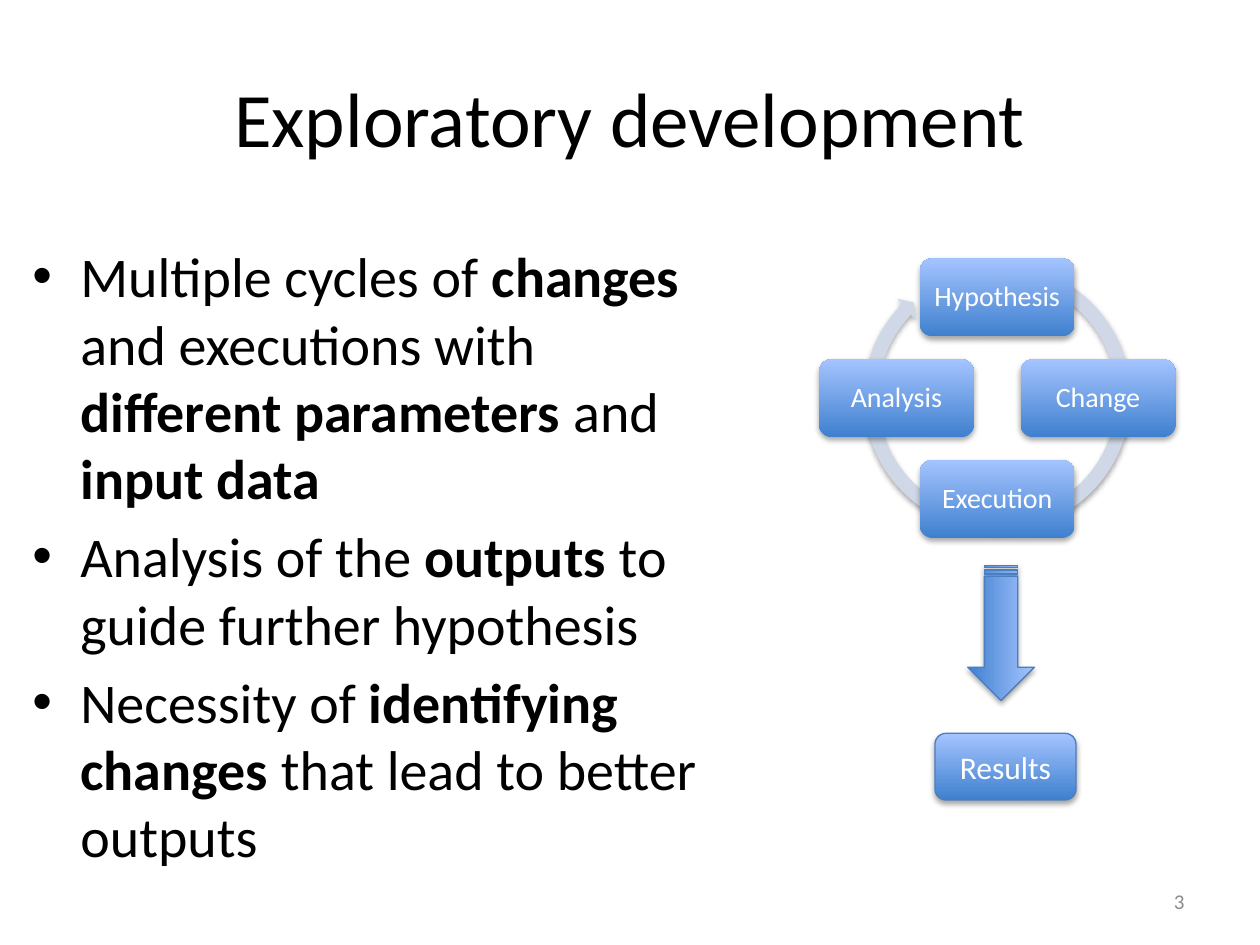
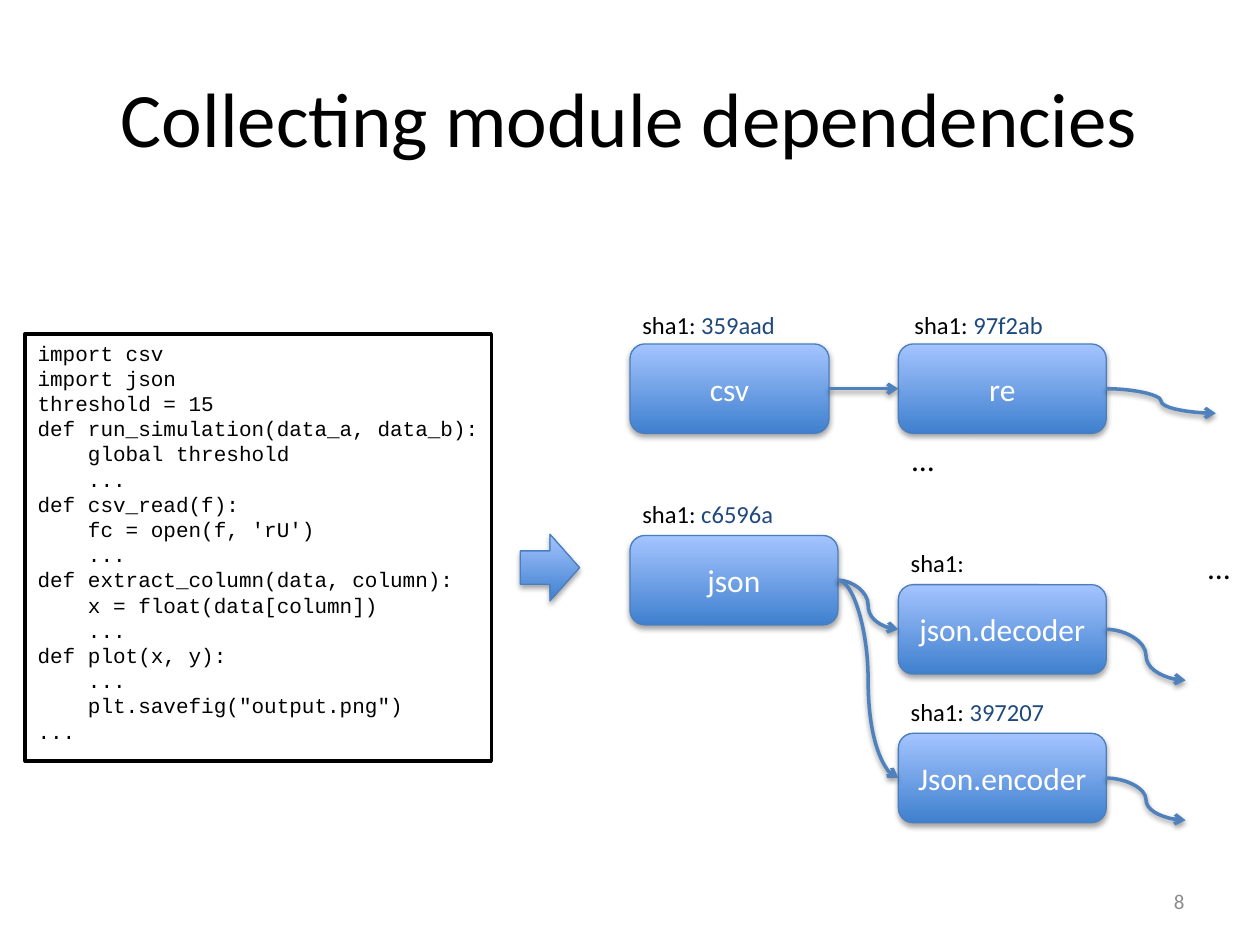
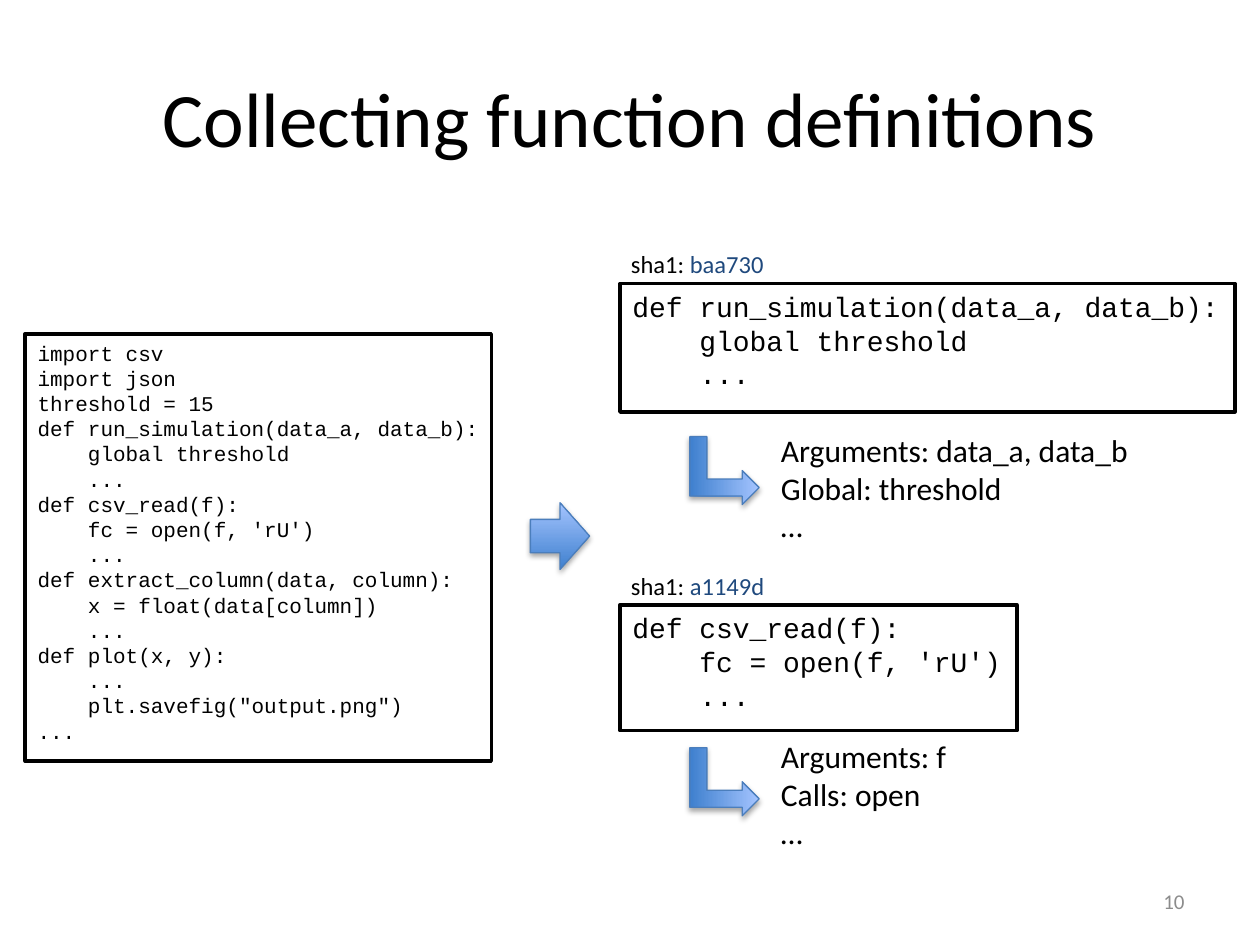
from dataclasses import dataclass, field

from lxml import etree
from pptx import Presentation
from pptx.dml.color import RGBColor
from pptx.enum.shapes import MSO_CONNECTOR as Wire, MSO_SHAPE as Kind
from pptx.enum.text import MSO_ANCHOR as Anchor, MSO_AUTO_SIZE as Fit, PP_ALIGN as Align
from pptx.oxml import parse_xml
from pptx.oxml.ns import qn
from pptx.util import Pt

PX = 9144  # 100 px to the inch


class Theme:
    black, white = RGBColor(0, 0, 0), RGBColor(255, 255, 255)
    navy = RGBColor(0x1F, 0x49, 0x7D)
    grey = RGBColor(0x8C, 0x8C, 0x8C)
    ring = RGBColor(0xD0, 0xD8, 0xE8)
    deep, light = RGBColor(0x3F, 0x80, 0xCE), RGBColor(0xA4, 0xC4, 0xFF)
    edge, wire = RGBColor(0x4B, 0x7E, 0xBC), RGBColor(0x4F, 0x81, 0xBD)
    sans, mono = "Calibri", "Courier New"
    huge, big, mid, code, tag, tiny = (Pt(n) for n in (44, 32, 18, 16, 14, 12))


@dataclass
class Look:
    """How a box and its text are set; accent formats the parts between asterisks."""
    size: int
    color: RGBColor = Theme.black
    font: str = Theme.sans
    fill: str = ""
    line: tuple = ()
    bullet: bool = False
    accent: RGBColor = None
    frame: dict = field(default_factory=dict)
    para: dict = field(default_factory=dict)


middle = {"word_wrap": True, "vertical_anchor": Anchor.MIDDLE}
loose = {"word_wrap": False, "auto_size": Fit.SHAPE_TO_FIT_TEXT}
top = {"word_wrap": True, "vertical_anchor": Anchor.TOP}
center, left = {"alignment": Align.CENTER}, {"alignment": Align.LEFT}
inset = {f"margin_{side}": 7 * PX for side in ("left", "top", "right", "bottom")}
rim, frame = (Theme.edge, Pt(0.75)), (Theme.black, Pt(2))

TITLE = Look(Theme.huge, frame=middle, para=center)
BODY = Look(Theme.big, bullet=True, frame=top, para={"space_before": Pt(6.4)})
PAGE = Look(Theme.tiny, Theme.grey, frame=middle, para={"alignment": Align.RIGHT})
NODE = Look(Theme.mid, Theme.white, fill="blend", line=rim, frame=middle, para=center)
STEP = Look(Theme.code, Theme.white, fill="blend", frame=middle | inset,
            para=center | {"line_spacing": 0.9})
RING = Look(Theme.mid, fill="ring")
LIST = Look(Theme.tiny, font=Theme.mono, fill="plain", line=frame, frame=top, para=left)
PART = Look(Theme.code, font=Theme.mono, fill="plain", line=frame, frame=top, para=left)
HASH = Look(Theme.tag, accent=Theme.navy, frame=loose)
NOTE = Look(Theme.mid, frame=loose)


def cast(shape, alpha, drop):
    """Give a shape or connector a soft shadow straight below it."""
    props = shape._element.spPr
    for old in props.findall(qn("a:effectLst")):
        props.remove(old)
    props.append(parse_xml(
        '<a:effectLst xmlns:a="http://schemas.openxmlformats.org/drawingml/2006/main">'
        f'<a:outerShdw blurRad="40000" dist="{drop}" dir="5400000" rotWithShape="0">'
        f'<a:srgbClr val="000000"><a:alpha val="{alpha}000"/></a:srgbClr>'
        '</a:outerShdw></a:effectLst>'))


def put(slide, at, look, text="", kind=None):
    """Add a text box, or a shape of the given kind, with one paragraph a line."""
    area = [n * PX for n in at]
    if kind is None:
        shape = slide.shapes.add_textbox(*area)
    else:
        shape = slide.shapes.add_shape(kind, *area)
        shape.shadow.inherit = False
        if look.fill == "blend":
            shape.fill.gradient()
            shape.fill.gradient_angle = 90
            for stop, color in zip(shape.fill.gradient_stops, (Theme.deep, Theme.light)):
                stop.color.rgb = color
        else:
            shape.fill.solid()
            shape.fill.fore_color.rgb = Theme.ring if look.fill == "ring" else Theme.white
        if look.line:
            shape.line.color.rgb, shape.line.width = look.line
        else:
            shape.line.fill.background()
        if look.fill != "plain":
            cast(shape, 35, 23000)
    body = shape.text_frame
    for name, value in look.frame.items():
        setattr(body, name, value)
    for i, row in enumerate(text.split("\n") if text else []):
        para = body.add_paragraph() if i else body.paragraphs[0]
        for name, value in look.para.items():
            setattr(para, name, value)
        if look.bullet:
            props = para._p.get_or_add_pPr()
            props.set("marL", str(38 * PX))
            props.set("indent", str(-38 * PX))
            etree.SubElement(props, qn("a:buFont")).set("typeface", "Arial")
            etree.SubElement(props, qn("a:buChar")).set("char", "•")
        for j, part in enumerate(row.split("*")):
            if not part:
                continue
            run = para.add_run()
            run.text = part
            strong = j % 2 == 1
            values = {"name": look.font, "size": look.size,
                      "bold": strong and look.accent is None}
            for name, value in values.items():
                setattr(run.font, name, value)
            run.font.color.rgb = look.accent if strong and look.accent else look.color
    return shape


SIM = """def run_simulation(data_a, data_b):
    global threshold
    ..."""
READ = """def csv_read(f):
    fc = open(f, 'rU')
    ..."""
SCRIPT = f"""import csv
import json
threshold = 15
{SIM}
{READ}
def extract_column(data, column):
    x = float(data[column])
    ...
def plot(x, y):
    ...
    plt.savefig("output.png")
..."""

deck = Presentation()
deck.slide_width, deck.slide_height = 1000 * PX, 750 * PX
slides = []
for title, page in (("Exploratory development", "3"),
                    ("Collecting module dependencies", "8"),
                    ("Collecting function definitions", "10")):
    slide = deck.slides.add_slide(deck.slide_layouts[6])
    put(slide, (50, 30, 900, 125), TITLE, title)
    put(slide, (717, 695, 233, 40), PAGE, page)
    slides.append(slide)
cycle, deps, defs = slides

# Exploratory development
put(cycle, (16, 187, 587, 516), BODY,
    "Multiple cycles of *changes *and executions with *different parameters *and *input data*\n"
    "Analysis of the *outputs* to guide further hypothesis\n"
    "Necessity of *identifying changes* that lead to better outputs")
ring = put(cycle, (680, 204, 223, 223), RING, kind=Kind.CIRCULAR_ARROW)
for i, value in enumerate((0.05, 2.73, 134.49, 176.25, 0.05)):
    ring.adjustments[i] = value
for name, dx, dy in (("Hypothesis", 0, -1), ("Change", 1, 0),
                     ("Execution", 0, 1), ("Analysis", -1, 0)):
    put(cycle, (730 + 80 * dx, 285 + 80 * dy, 123, 62), STEP, name, Kind.ROUNDED_RECTANGLE)
down = put(cycle, (741, 476, 107, 53), NODE, kind=Kind.STRIPED_RIGHT_ARROW)
down.rotation = 90
put(cycle, (742, 582, 112, 53), NODE, "Results", Kind.ROUNDED_RECTANGLE)

# Script on the left of both collecting slides
for slide, x, y in ((deps, 413, 424), (defs, 421, 399)):
    put(slide, (20, 265, 370, 339), LIST, SCRIPT, Kind.RECTANGLE)
    put(slide, (x, y, 47, 53), NODE, kind=Kind.RIGHT_ARROW)

# Collecting module dependencies
nodes = {}
for name, sha, x, y, width, tag in (
        ("csv", "359aad", 500, 273, 158, (500, 241)),
        ("re", "97f2ab", 713, 273, 165, (716, 241)),
        ("json", "c6596a", 500, 425, 165, (500, 391)),
        ("json.decoder", "d76350", 713, 464, 165, (713, 430)),
        ("Json.encoder", "397207", 713, 582, 165, (713, 548))):
    put(deps, (*tag, 126, 34), HASH, f"sha1: *{sha}*")
    nodes[name] = put(deps, (x, y, width, 71), NODE, name, Kind.ROUNDED_RECTANGLE)
for x, y in ((949, 430), (714, 344)):
    put(deps, (x, y, 38, 40), NOTE, "…")

for start, end in (("json", "json.decoder"), ("json", "Json.encoder"), ("csv", "re"),
                   ("re", (965, 328)), ("json.decoder", (941, 540)),
                   ("Json.encoder", (941, 651))):
    x, y = (0, 0) if end in nodes else end
    wire = deps.shapes.add_connector(Wire.CURVE, 0, 0, x * PX, y * PX)
    wire.begin_connect(nodes[start], 3)
    if end in nodes:
        wire.end_connect(nodes[end], 1)
    wire.line.color.rgb, wire.line.width = Theme.wire, Pt(2)
    etree.SubElement(wire.line._get_or_add_ln(), qn("a:tailEnd")).set("type", "arrow")
    cast(wire, 38, 20000)

# Collecting function definitions
for sha, part, y, width, height, facts, note, turn in (
        ("baa730", SIM, 225, 488, 102, "Arguments: data_a, data_b\nGlobal: threshold\n…",
         (610, 337, 300, 101), 346),
        ("a1149d", READ, 480, 315, 100, "Arguments: f\nCalls: open\n…",
         (610, 580, 153, 101), 593)):
    put(defs, (491, y - 32, 127, 34), HASH, f"sha1: *{sha}*")
    put(defs, (492, y, width, height), PART, part, Kind.RECTANGLE)
    put(defs, note, NOTE, facts)
    bend = put(defs, (548, turn, 54, 55), NODE, kind=Kind.BENT_UP_ARROW)
    bend.rotation = 90

deck.save("out.pptx")
